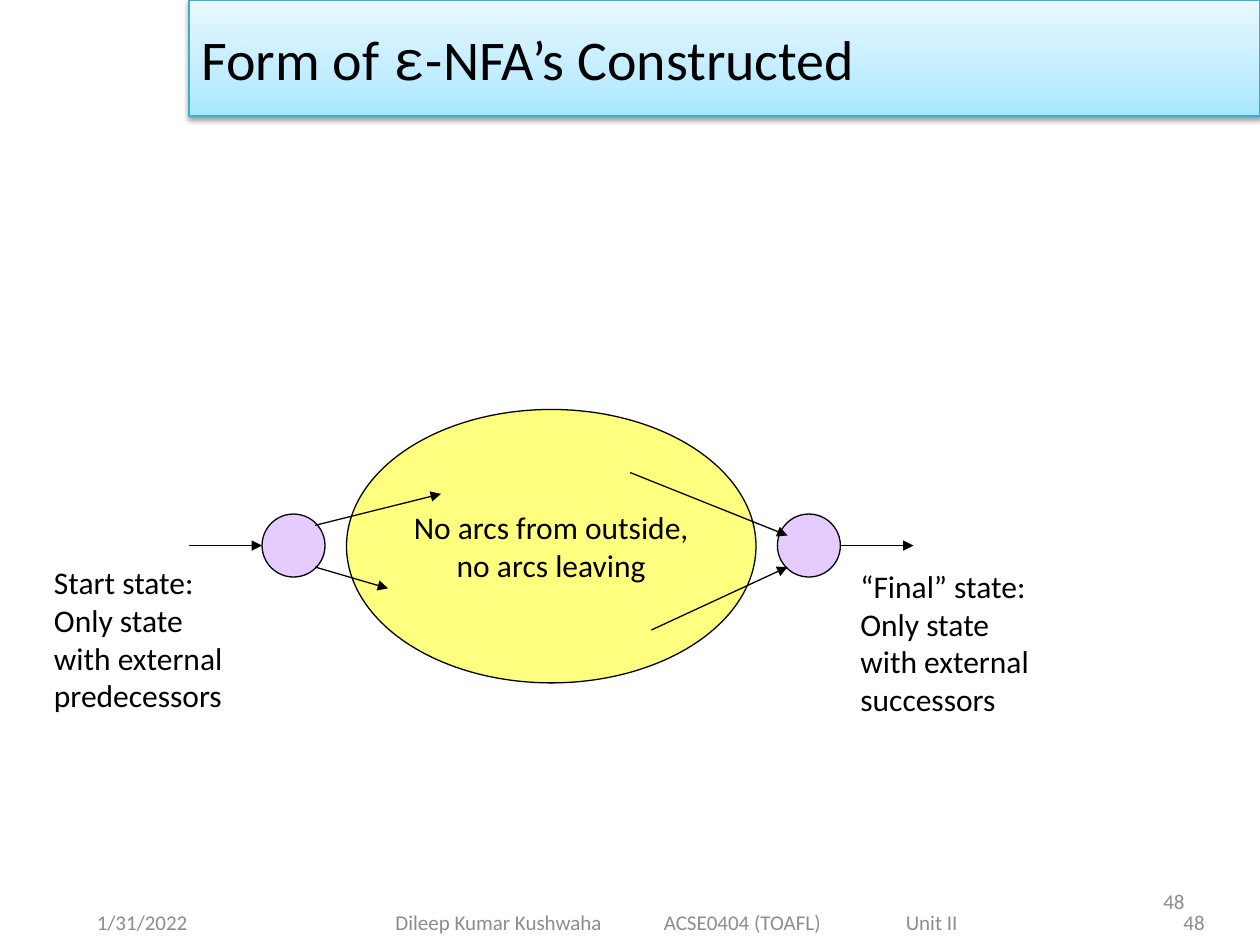
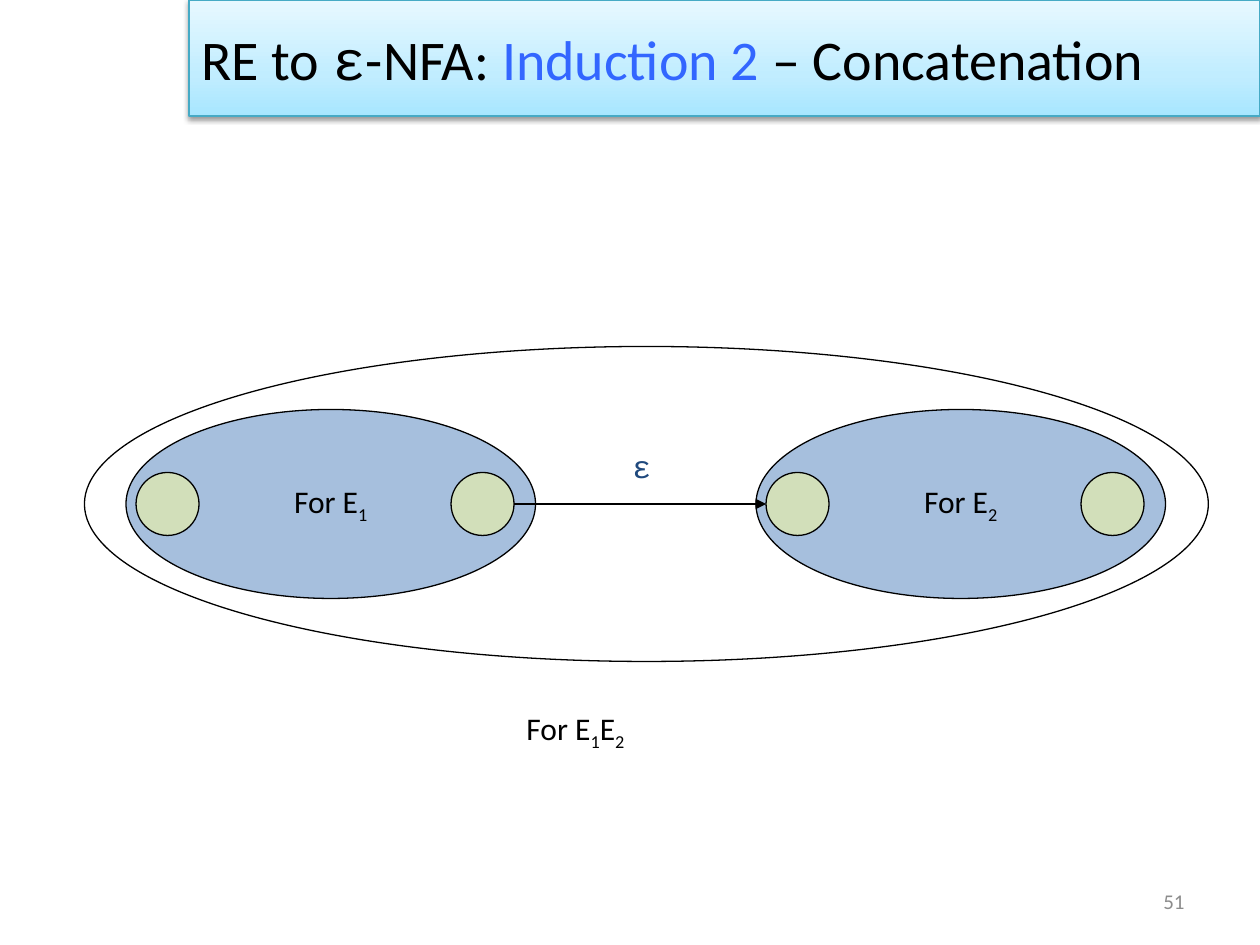
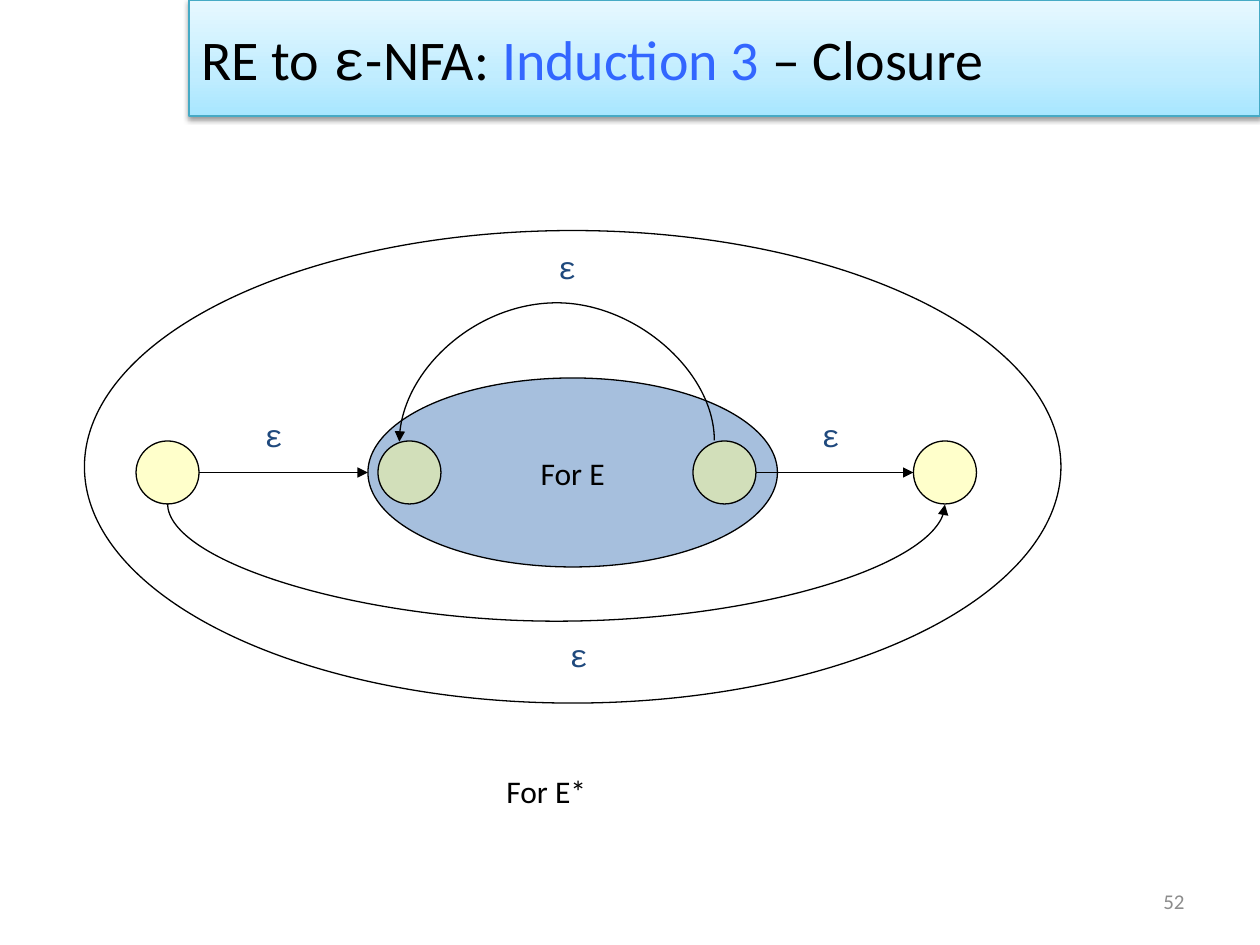
from lxml import etree
from pptx import Presentation
from pptx.dml.color import RGBColor
from pptx.enum.shapes import MSO_CONNECTOR, MSO_SHAPE
from pptx.enum.text import MSO_ANCHOR, PP_ALIGN
from pptx.oxml import parse_xml
from pptx.oxml.ns import nsdecls, qn
from pptx.util import Inches, Pt

OVAL, RECTANGLE = MSO_SHAPE.OVAL, MSO_SHAPE.RECTANGLE
STRAIGHT, CURVE = MSO_CONNECTOR.STRAIGHT, MSO_CONNECTOR.CURVE
TOP, MIDDLE = MSO_ANCHOR.TOP, MSO_ANCHOR.MIDDLE
LEFT, CENTER, RIGHT = PP_ALIGN.LEFT, PP_ALIGN.CENTER, PP_ALIGN.RIGHT

BLACK = RGBColor(0x00, 0x00, 0x00)
GREY = RGBColor(0x8C, 0x8C, 0x8C)
NAVY = RGBColor(0x1F, 0x49, 0x7D)
ACCENT = RGBColor(0x33, 0x66, 0xFF)
BAND_EDGE = RGBColor(0x46, 0xAA, 0xC5)
PURPLE = RGBColor(0xCC, 0x99, 0xFF)
YELLOW = RGBColor(0xFF, 0xFF, 0x00)
PALE_YELLOW = RGBColor(0xFF, 0xFF, 0x99)
BLUE = RGBColor(0x4F, 0x81, 0xBD)
BAND_STOPS = [(0, "A7E6FF"), (35, "C1EDFF"), (100, "E7F8FF")]

BODY_FONT, SYMBOL_FONT = "Calibri", "Courier New"
BODY = {"name": BODY_FONT, "size": Pt(18), "color": BLACK}
TITLE = {**BODY, "size": Pt(32)}
FOOTER = {**BODY, "size": Pt(12), "color": GREY}

STATE = 0.5                  # diameter of a state
MACHINE = (3.25, 1.5)        # size of the automaton for one expression
MACHINE_STATES = (0.08, 2.58)  # left edges of its start and final state
CURVE_BOX = 0.01             # depth of a curved arc before its bulge

EPSILON = ("ε", {"name": SYMBOL_FONT})
ARC_EPSILON = ("ε", {"name": SYMBOL_FONT, "color": NAVY})
SUB_1, SUB_2 = [(digit, {"baseline": -25000}) for digit in "12"]

# A text is a list of paragraphs, a paragraph a list of runs.
FORM = {
    "title": ["Form of ", EPSILON, "-NFA’s Constructed"],
    "number": "48",
    "states": [(2.08, 4.08), (6.17, 4.08)],
    "inside": [["No arcs from outside,"], ["no arcs leaving"]],
    "arcs": [
        (1.5, 4.33, 2.08, 4.33), (6.67, 4.33, 7.25, 4.33),
        (2.5, 4.5, 3.08, 4.67), (2.5, 4.17, 3.5, 3.92),
        (5, 3.75, 6.25, 4.25), (5.17, 5, 6.25, 4.5),
    ],
    "notes": [
        ((0.33, 4.42, 2.12, 1.7),
         [["Start state:"], ["Only state"], ["with external"], ["predecessors"]]),
        ((6.73, 4.45, 2.11, 1.7),
         [["“Final” state:"], ["Only state"], ["with external"], ["successors"]]),
    ],
    "date": "1/31/2022",
    "course": "Dileep Kumar Kushwaha\tACSE0404 (TOAFL)\tUnit II",
    "course_tabs": (2.13, 4.05),
}
INDUCTIONS = [
    {
        "title": ["RE to ", EPSILON, "-NFA: ", ("Induction 2", {"color": ACCENT}),
                  " – Concatenation"],
        "number": "51",
        "machines": [(1, 3.25, ["For E", SUB_1]), (6, 3.25, ["For E", SUB_2])],
        "outline": (0.67, 2.75, 8.92, 2.5),
        "caption": ((4.08, 5.58, 1.4, 0.5), ["For E", SUB_1, "E", SUB_2]),
        "states": [],
        "arcs": [(4.08, 4, 6.08, 4)],
        "curves": [],
        "epsilons": [(4.92, 3.5)],
    },
    {
        "title": ["RE to ", EPSILON, "-NFA: ", ("Induction 3", {"color": ACCENT}),
                  " – Closure"],
        "number": "52",
        "machines": [(2.92, 3, ["For E"])],
        "outline": (0.67, 1.83, 7.75, 3.75),
        "caption": ((3.92, 6.08, 1.15, 0.5), ["For E*"]),
        "states": [(7.25, 3.5), (1.08, 3.5)],
        "arcs": [(1.58, 3.75, 2.92, 3.75), (6, 3.75, 7.25, 3.75)],
        # start x, end x, y, bulge (down is positive)
        "curves": [(5.67, 3.17, 3.5, -1.11), (1.33, 7.5, 4, 0.95)],
        "epsilons": [(4.33, 1.92), (4.42, 5), (6.42, 3.25), (2, 3.25)],
    },
]


def inches(values):
    return [Inches(value) for value in values]


def write(shape, paragraphs, style, align=LEFT, anchor=TOP, wrap=True):
    frame = shape.text_frame
    frame.word_wrap = wrap
    frame.vertical_anchor = anchor
    for index, runs in enumerate(paragraphs):
        paragraph = frame.add_paragraph() if index else frame.paragraphs[0]
        paragraph.alignment = align
        for item in runs:
            text, changes = (item, {}) if isinstance(item, str) else item
            run = paragraph.add_run()
            run.text = text
            for key, value in {**style, **changes}.items():
                if key == "color":
                    run.font.color.rgb = value
                elif key == "baseline":
                    run._r.get_or_add_rPr().set("baseline", str(value))
                else:
                    setattr(run.font, key, value)


def add_text(slide, box, paragraphs, style=BODY, **layout):
    shape = slide.shapes.add_textbox(*inches(box))
    write(shape, paragraphs, style, **layout)
    return shape


def add_oval(slide, box, color=None):
    """Draw a black-edged oval, half transparent in color or empty."""
    oval = slide.shapes.add_shape(OVAL, *inches(box))
    oval.shadow.inherit = False
    oval.line.color.rgb = BLACK
    oval.line.width = Pt(0.75)
    if color is None:
        oval.fill.background()
    else:
        oval.fill.solid()
        oval.fill.fore_color.rgb = color
        srgb = oval._element.spPr.find(qn("a:solidFill"))[0]
        etree.SubElement(srgb, qn("a:alpha"), val="50000")
    return oval


def add_state(slide, left, top, color):
    add_oval(slide, (left, top, STATE, STATE), color)


def add_arc(slide, ends, kind=STRAIGHT):
    arc = slide.shapes.add_connector(kind, *inches(ends))
    arc.line.color.rgb = BLACK
    arc.line.width = Pt(0.75)
    properties = arc._element.spPr
    etree.SubElement(properties.find(qn("a:ln")), qn("a:tailEnd"), type="triangle")
    etree.SubElement(properties, qn("a:effectLst"))
    return arc


def add_curve(slide, start, end, y, bulge):
    """Draw a vertical curved arc and turn it by 270 degrees about its centre."""
    x, half = (start + end) / 2, (start - end) / 2
    arc = add_arc(slide, (x + CURVE_BOX / 2, y + half, x - CURVE_BOX / 2, y - half), CURVE)
    properties = arc._element.spPr
    properties.find(qn("a:xfrm")).set("rot", str(270 * 60000))
    adjustments = properties.find(qn("a:prstGeom")).find(qn("a:avLst"))
    etree.SubElement(adjustments, qn("a:gd"), name="adj1",
                     fmla=f"val {round(bulge / CURVE_BOX * 100000)}")


def add_machine(slide, left, top, label):
    oval = add_oval(slide, (left, top, *MACHINE), BLUE)
    write(oval, [label], BODY, align=CENTER, anchor=MIDDLE, wrap=False)
    for offset in reversed(MACHINE_STATES):
        add_state(slide, left + offset, top + (MACHINE[1] - STATE) / 2, PALE_YELLOW)


def add_title_band(slide, title):
    band = slide.shapes.add_shape(RECTANGLE, *inches((1.5, 0, 8.5, 0.92)))
    properties = band._element.spPr
    stops = "".join(f'<a:gs pos="{place * 1000}"><a:srgbClr val="{color}"/></a:gs>'
                    for place, color in BAND_STOPS)
    properties.insert(2, parse_xml(
        f'<a:gradFill {nsdecls("a")} rotWithShape="1"><a:gsLst>{stops}</a:gsLst>'
        '<a:lin ang="16200000" scaled="0"/></a:gradFill>'))
    band.line.color.rgb = BAND_EDGE
    band.line.width = Pt(0.75)
    band.shadow.inherit = False
    properties.find(qn("a:effectLst")).append(parse_xml(
        f'<a:outerShdw {nsdecls("a")} blurRad="{Pt(3.1)}" dist="{Pt(1.6)}" dir="5400000" '
        'rotWithShape="0"><a:srgbClr val="000000"><a:alpha val="38000"/></a:srgbClr>'
        '</a:outerShdw>'))
    write(band, [title], TITLE, anchor=MIDDLE)


def add_footer(slide, box, text, align=LEFT):
    return add_text(slide, box, [[text]], FOOTER, align=align, anchor=MIDDLE)


def add_page(deck, content):
    slide = deck.slides.add_slide(deck.slide_layouts[6])
    add_footer(slide, (7.17, 6.95, 2.33, 0.4), content["number"], RIGHT)
    return slide


def build_form(deck, content):
    slide = add_page(deck, content)
    for left, top in content["states"]:
        add_state(slide, left, top, PURPLE)
    inside = add_oval(slide, (2.75, 3.25, 3.25, 2.17), YELLOW)
    write(inside, content["inside"], BODY, align=CENTER, anchor=MIDDLE, wrap=False)
    for ends in content["arcs"]:
        add_arc(slide, ends)
    for box, note in content["notes"]:
        add_text(slide, box, note)
    add_title_band(slide, content["title"])
    add_footer(slide, (0.67, 7.12, 2.33, 0.4), content["date"])
    course = add_footer(slide, (3.04, 7.12, 4.71, 0.4), content["course"])
    tabs = etree.SubElement(course.text_frame.paragraphs[0]._p.get_or_add_pPr(), qn("a:tabLst"))
    for stop in content["course_tabs"]:
        etree.SubElement(tabs, qn("a:tab"), pos=str(Inches(stop)), algn="l")
    add_footer(slide, (7.33, 7.12, 2.33, 0.4), content["number"], RIGHT)


def build_induction(deck, content):
    slide = add_page(deck, content)
    for machine in content["machines"]:
        add_machine(slide, *machine)
    add_oval(slide, content["outline"])
    box, caption = content["caption"]
    add_text(slide, box, [caption])
    for left, top in content["states"]:
        add_state(slide, left, top, PALE_YELLOW)
    for ends in content["arcs"]:
        add_arc(slide, ends)
    for curve in content["curves"]:
        add_curve(slide, *curve)
    for left, top in content["epsilons"]:
        add_text(slide, (left, top, 0.38, 0.5), [[ARC_EPSILON]])
    add_title_band(slide, content["title"])


def main():
    deck = Presentation()
    deck.slide_width, deck.slide_height = inches((10, 7.5))
    build_form(deck, FORM)
    for content in INDUCTIONS:
        build_induction(deck, content)
    deck.save("out.pptx")


if __name__ == "__main__":
    main()
